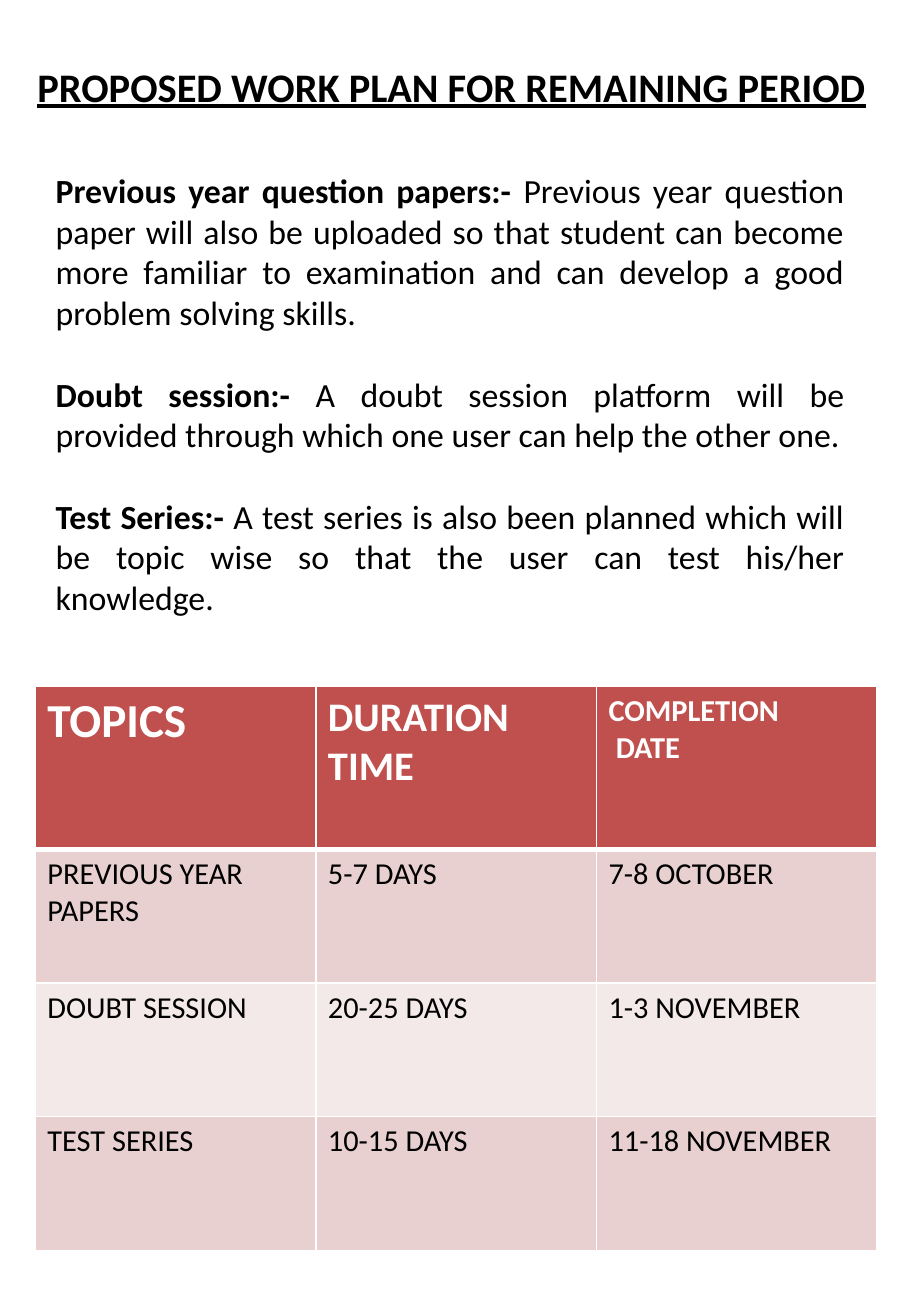
from lxml import etree
from pptx import Presentation, util as u
from pptx.dml.color import RGBColor
from pptx.enum import text
from pptx.oxml.ns import qn

EMU_PER_PX = 9144  # 100 px to the inch
FONT = "Calibri"
BLACK, WHITE = "000000", "FFFFFF"
HEADER_FILL, BAND_FILLS = "C0504D", ("E8D0D0", "F4E9E9")

TITLE = "PROPOSED WORK PLAN FOR REMAINING PERIOD"
PLANS = [
    ("Previous year question papers:- ",
     "Previous year question paper will also be uploaded so that student can become "
     "more familiar to examination and can develop a good problem solving skills."),
    ("Doubt session:- ",
     "A doubt session platform will be provided through which one user can help the other one."),
    ("Test Series:- ",
     "A test series is also been planned which will be topic wise so that the user "
     "can test his/her knowledge."),
]
HEADERS = [(["TOPICS"], 28), (["DURATION TIME"], 24), (["COMPLETION", "DATE"], 18)]
SCHEDULE = [
    ("PREVIOUS YEAR PAPERS", "5-7 DAYS", "7-8 OCTOBER"),
    ("DOUBT SESSION", "20-25 DAYS", "1-3 NOVEMBER"),
    ("TEST SERIES", "10-15 DAYS", "11-18 NOVEMBER"),
]


def px(length):
    return u.Emu(length * EMU_PER_PX)


def color(value):
    return RGBColor.from_string(value)


def add_span(para, content, size, ink=BLACK, bold=False, underline=None):
    span = para.add_run()
    span.text = content
    font = span.font
    font.name, font.size, font.bold = FONT, u.Pt(size), bold
    font.underline = underline
    font.color.rgb = color(ink)


def add_box(page, left, top, width, height, wrap):
    frame = page.shapes.add_textbox(px(left), px(top), px(width), px(height)).text_frame
    frame.word_wrap = wrap
    frame.auto_size = text.MSO_AUTO_SIZE.SHAPE_TO_FIT_TEXT
    return frame


def next_para(frame, index):
    return frame.add_paragraph() if index else frame.paragraphs[0]


def add_plans(page):
    frame = add_box(page, 36, 135, 669, 380, wrap=True)
    for index, (label, detail) in enumerate(PLANS):
        para = next_para(frame, index)
        para.alignment = text.PP_ALIGN.JUSTIFY
        para.space_before = u.Pt(24.4 if index else 0)
        add_span(para, label, 20, bold=True)
        add_span(para, detail, 20)


def style_cell(cell, fill, top_width, bottom_width):
    properties = cell._tc.get_or_add_tcPr()
    widths = {"a:lnL": 1, "a:lnR": 1, "a:lnT": top_width, "a:lnB": bottom_width}
    for side, width in widths.items():
        line = etree.SubElement(properties, qn(side), w=str(u.Pt(width)))
        solid = etree.SubElement(line, qn("a:solidFill"))
        etree.SubElement(solid, qn("a:srgbClr"), val=WHITE)
    cell.fill.solid()
    cell.fill.fore_color.rgb = color(fill)


def add_schedule(page):
    table = page.shapes.add_table(
        len(SCHEDULE) + 1, len(HEADERS), px(29), px(565), px(693), px(464)).table
    for column in table.columns:
        column.width = px(231)
    for index, row in enumerate(table.rows):
        row.height = px(110 if index else 134)

    # Header row
    for column, (lines, size) in enumerate(HEADERS):
        cell = table.cell(0, column)
        style_cell(cell, HEADER_FILL, 1, 3)
        for index, line in enumerate(lines):
            para = next_para(cell.text_frame, index)
            if index:
                para._p.get_or_add_pPr().set("marL", str(px(6)))
            add_span(para, line, size, WHITE, bold=True)

    # Banded body rows
    for row, entries in enumerate(SCHEDULE, start=1):
        for column, entry in enumerate(entries):
            cell = table.cell(row, column)
            style_cell(cell, BAND_FILLS[(row - 1) % 2], 3 if row == 1 else 1, 1)
            add_span(cell.text_frame.paragraphs[0], entry, 18)


def main():
    deck = Presentation()
    deck.slide_width, deck.slide_height = px(750), px(1083)
    page = deck.slides.add_slide(deck.slide_layouts[6])

    # Title
    title = add_box(page, 21, 46, 703, 50, wrap=False)
    add_span(title.paragraphs[0], TITLE, 24, bold=True, underline=True)

    add_plans(page)
    add_schedule(page)
    deck.save("out.pptx")


if __name__ == "__main__":
    main()
